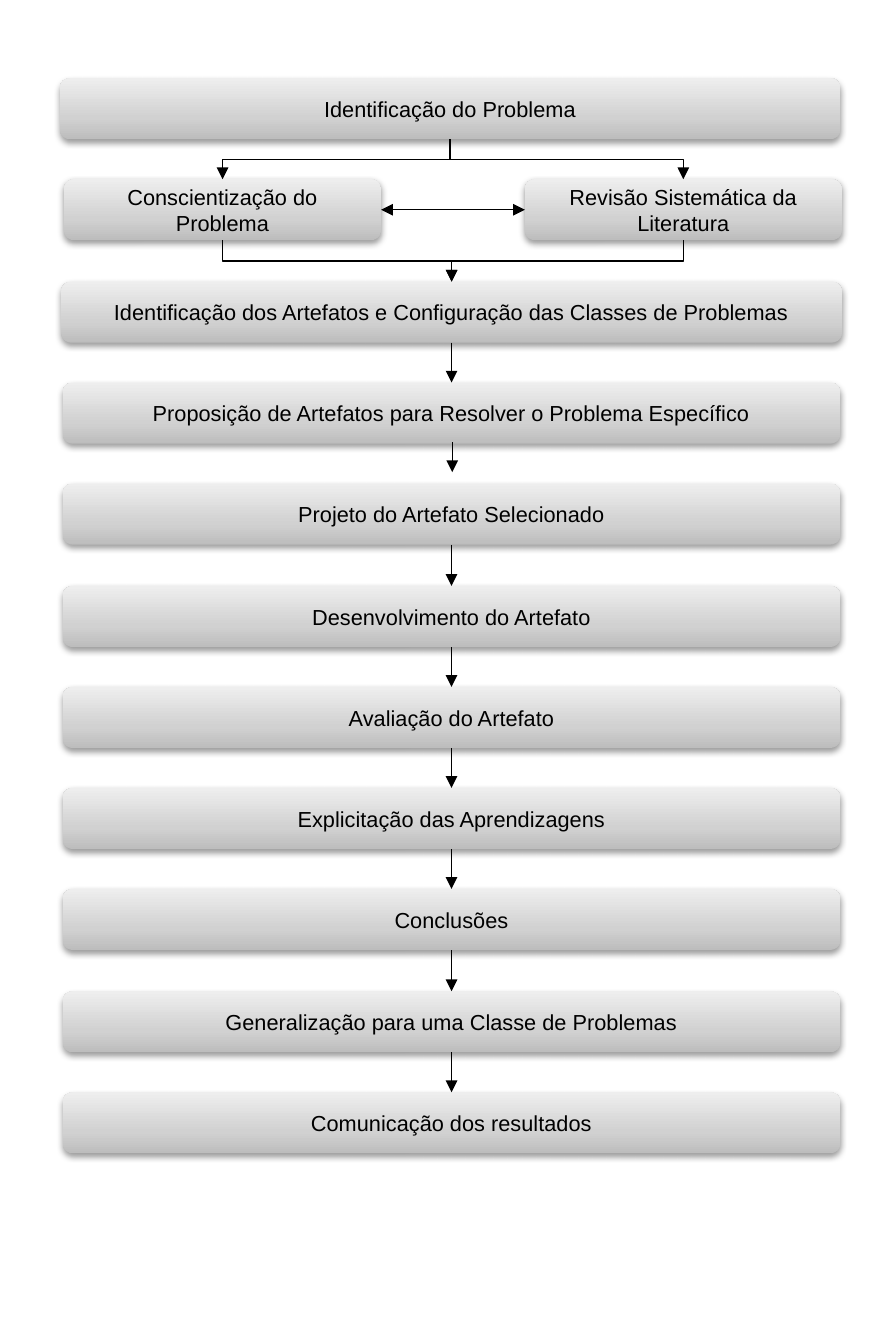
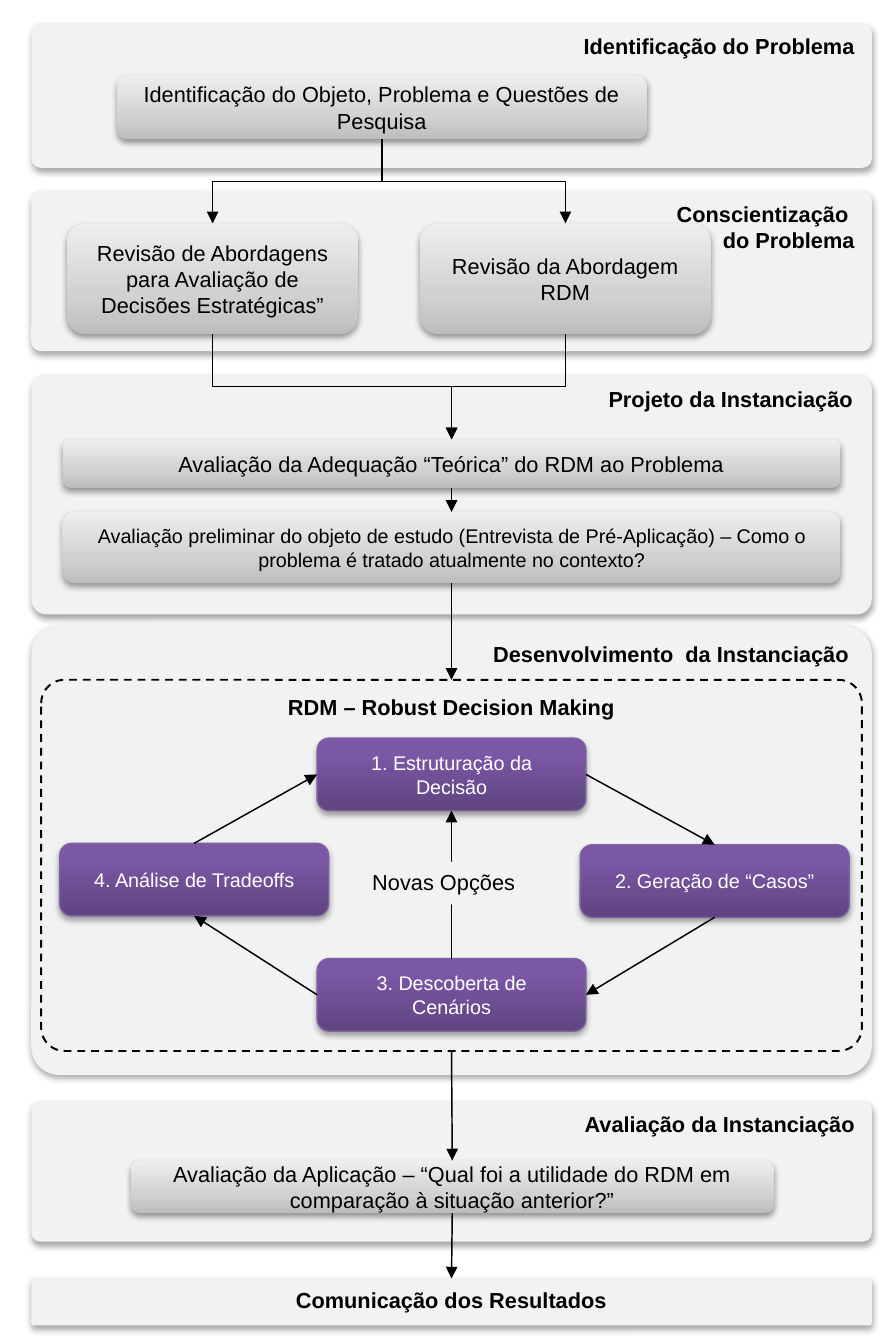
import pptx
import pptx.dml.color
import pptx.enum.dml
import pptx.enum.shapes
import pptx.enum.text
import pptx.oxml.ns
import pptx.util
from lxml import etree

PX = 9144  # EMU per px, 100 px to the inch
SLIDE_WIDTH, SLIDE_HEIGHT = 630, 945
FONT = "Arial"
COLORS = {
    "black": "000000", "white": "FFFFFF", "panel": "F2F2F2", "purple_line": "7D60A0",
}
GRAY_STOPS = [(0, "BDBDBD"), (35, "D1D1D1"), (100, "EEEEEE")]
PURPLE_STOPS = [(0, "5F4480"), (80, "7B58A6"), (100, "7C57A8")]
TOP, LEFT, BOTTOM, RIGHT = range(4)  # connection sites of a box
ROW_TOP, ROW_STEP, ROW_HEIGHT = 55, 71.3, 43

ALIGN = pptx.enum.text.PP_ALIGN
ANCHOR = pptx.enum.text.MSO_ANCHOR
SHAPE = pptx.enum.shapes.MSO_SHAPE
CONNECTOR = pptx.enum.shapes.MSO_CONNECTOR


# Formatting helpers
def rgb(name):
    return pptx.dml.color.RGBColor.from_string(COLORS[name])


def add_child(parent, tag, **attributes):
    child = etree.SubElement(parent, pptx.oxml.ns.qn(tag))
    for key, value in attributes.items():
        child.set(key, str(value))
    return child


def set_gradient(shape, stops):
    shape.fill.gradient()
    shape.fill.gradient_angle = 90
    stop_list = shape._element.spPr.find(".//" + pptx.oxml.ns.qn("a:gsLst"))
    for stop in list(stop_list):
        stop_list.remove(stop)
    for percent, color in stops:
        stop = add_child(stop_list, "a:gs", pos=percent * 1000)
        add_child(stop, "a:srgbClr", val=color)


def set_shadow(shape, opacity, distance):
    effects = shape._element.spPr.find(pptx.oxml.ns.qn("a:effectLst"))
    shadow = add_child(effects, "a:outerShdw", blurRad=40000, dist=distance,
                       dir=5400000, rotWithShape=0)
    color = add_child(shadow, "a:srgbClr", val=COLORS["black"])
    add_child(color, "a:alpha", val=opacity * 1000)


# Kinds of element
def add_text_shape(slide, kind, at, text, size=11, color="black", bold=False,
                   align=ALIGN.CENTER, anchor=ANCHOR.TOP):
    shape = slide.shapes.add_shape(kind, *(length * PX for length in at))
    shape.shadow.inherit = False
    shape.line.fill.background()
    frame = shape.text_frame
    frame.word_wrap = True
    frame.vertical_anchor = anchor
    for index, line in enumerate(text.split("\n")):
        paragraph = frame.add_paragraph() if index else frame.paragraphs[0]
        paragraph.text = line
        paragraph.alignment = align
        paragraph.font.name = FONT
        paragraph.font.size = pptx.util.Pt(size)
        paragraph.font.bold = bold
        paragraph.font.color.rgb = rgb(color)
    return shape


def add_step(slide, at, text, size=11):
    step = add_text_shape(slide, SHAPE.ROUNDED_RECTANGLE, at, text, size,
                          anchor=ANCHOR.MIDDLE)
    set_gradient(step, GRAY_STOPS)
    set_shadow(step, 38, 20000)
    return step


def add_cycle_step(slide, left, top, text):
    step = add_text_shape(slide, SHAPE.ROUNDED_RECTANGLE, (left, top, 189, 51), text,
                          10, "white", anchor=ANCHOR.MIDDLE)
    set_gradient(step, PURPLE_STOPS)
    step.line.color.rgb = rgb("purple_line")
    step.line.width = pptx.util.Pt(0.75)
    set_shadow(step, 35, 23000)
    return step


def add_panel(slide, top, height, text, align=ALIGN.RIGHT):
    panel = add_text_shape(slide, SHAPE.ROUNDED_RECTANGLE, (22, top, 591, height), text,
                           bold=True, align=align)
    panel.adjustments[0] = 0.063
    panel.fill.solid()
    panel.fill.fore_color.rgb = rgb("panel")
    set_shadow(panel, 35, 23000)
    return panel


def format_arrow(connector, both_ends=False):
    connector.line.color.rgb = rgb("black")
    connector.line.width = pptx.util.Pt(0.75)
    line = connector.line._get_or_add_ln()
    if both_ends:
        add_child(line, "a:headEnd", type="triangle")
    add_child(line, "a:tailEnd", type="triangle")
    add_child(connector._element.spPr, "a:effectLst")


def add_arrow(slide, start, end, start_site=BOTTOM, end_site=TOP,
              kind=CONNECTOR.STRAIGHT, both_ends=False):
    connector = slide.shapes.add_connector(kind, 0, 0, 0, 0)
    connector.begin_connect(start, start_site)
    connector.end_connect(end, end_site)
    format_arrow(connector, both_ends)
    return connector


def add_elbow(slide, start, end):
    """Leave the bottom of start, turn halfway and enter the top of end."""
    connector = add_arrow(slide, start, end, kind=CONNECTOR.ELBOW)
    begin_x, begin_y = connector.begin_x, connector.begin_y
    end_x, end_y = connector.end_x, connector.end_y
    run, drop = abs(end_x - begin_x), end_y - begin_y
    to_right = end_x > begin_x
    # The frame lies on its side, turned about its centre
    connector.left = (begin_x + end_x - drop) // 2
    connector.top = (begin_y + end_y - run) // 2
    connector.width, connector.height = drop, run
    frame = connector._element.spPr.xfrm
    frame.set("rot", "16200000" if to_right else "5400000")
    frame.set("flipH", "1" if to_right else "0")


def add_short_arrow(slide, x, top, bottom):
    connector = slide.shapes.add_connector(
        CONNECTOR.STRAIGHT, x * PX, top * PX, x * PX, bottom * PX)
    format_arrow(connector)


# Slides
def row_at(row, left=44, width=547):
    return left, round(ROW_TOP + row * ROW_STEP), width, ROW_HEIGHT


def build_method_slide(slide):
    problem = add_step(slide, row_at(0, 42, 549), "Identificação do Problema")
    awareness = add_step(slide, row_at(1, 45, 223), "Conscientização do Problema")
    review = add_step(slide, row_at(1, 369, 223), "Revisão Sistemática da Literatura")
    artifacts = add_step(
        slide, row_at(2, 43, 549),
        "Identificação dos Artefatos e Configuração das Classes de Problemas")
    texts = [
        "Proposição de Artefatos para Resolver o Problema Específico",
        "Projeto do Artefato Selecionado",
        "Desenvolvimento do Artefato",
        "Avaliação do Artefato",
        "Explicitação das Aprendizagens",
        "Conclusões",
        "Generalização para uma Classe de Problemas",
        "Comunicação dos resultados",
    ]
    steps = [add_step(slide, row_at(row), text) for row, text in enumerate(texts, 3)]

    for branch in (awareness, review):
        add_elbow(slide, problem, branch)
        add_elbow(slide, branch, artifacts)
    add_arrow(slide, awareness, review, RIGHT, LEFT, both_ends=True)
    add_arrow(slide, artifacts, steps[0])
    add_short_arrow(slide, 318, 311, 332)  # stops short of the next step
    for start, end in zip(steps[1:], steps[2:]):
        add_arrow(slide, start, end)


def build_application_slide(slide):
    # Panels
    add_panel(slide, 440, 316, "Desenvolvimento  da Instanciação")
    cycle = add_text_shape(slide, SHAPE.ROUNDED_RECTANGLE, (29, 478, 577, 261),
                           "RDM – Robust Decision Making", bold=True)
    cycle.adjustments[0] = 0.063
    cycle.fill.background()
    cycle.line.color.rgb = rgb("black")
    cycle.line.width = pptx.util.Pt(1)
    cycle.line.dash_style = pptx.enum.dml.MSO_LINE.DASH
    add_panel(slide, 16, 102, "Identificação do Problema")
    add_panel(slide, 134, 113, "Conscientização \ndo Problema")
    add_panel(slide, 263, 169, "Projeto da Instanciação")
    add_panel(slide, 774, 99, "Avaliação da Instanciação")
    results = add_panel(slide, 899, 33, "Comunicação dos Resultados", ALIGN.CENTER)

    # Steps
    adequacy = add_step(slide, (44, 309, 547, 34),
                        "Avaliação da Adequação “Teórica” do RDM ao Problema")
    interview = add_step(
        slide, (44, 360, 547, 50),
        "Avaliação preliminar do objeto de estudo (Entrevista de Pré-Aplicação) – "
        "Como o problema é tratado atualmente no contexto?", 10)
    rdm_review = add_step(slide, (295, 157, 205, 78), "Revisão da Abordagem RDM")
    decision_review = add_step(
        slide, (47, 157, 205, 78),
        "Revisão de Abordagens para Avaliação de Decisões Estratégicas”")
    subject = add_step(slide, (82, 53, 373, 45),
                       "Identificação do Objeto, Problema e Questões de Pesquisa")
    evaluation = add_step(
        slide, (92, 816, 452, 37),
        "Avaliação da Aplicação – “Qual foi a utilidade do RDM em comparação "
        "à situação anterior?”")

    # Decision cycle
    structuring = add_cycle_step(slide, 223, 519, "1. Estruturação da Decisão")
    cases = add_cycle_step(slide, 408, 594, "2. Geração de “Casos”")
    scenarios = add_cycle_step(slide, 223, 674, "3. Descoberta de Cenários")
    tradeoffs = add_cycle_step(slide, 42, 593, "4. Análise de Tradeoffs")

    # Arrows
    for review in (decision_review, rdm_review):
        add_elbow(slide, subject, review)
        add_elbow(slide, review, adequacy)
    for start, end in ((adequacy, interview), (interview, cycle),
                       (cycle, evaluation), (evaluation, results)):
        add_arrow(slide, start, end)
    add_arrow(slide, structuring, cases, RIGHT, TOP)
    add_arrow(slide, cases, scenarios, BOTTOM, RIGHT)
    add_arrow(slide, scenarios, tradeoffs, LEFT, BOTTOM)
    add_arrow(slide, tradeoffs, structuring, TOP, LEFT)
    add_arrow(slide, scenarios, structuring, TOP, BOTTOM)

    # Label over the middle arrow
    label = add_text_shape(slide, SHAPE.RECTANGLE, (251, 606, 122, 30), "Novas Opções")
    label.fill.solid()
    label.fill.fore_color.rgb = rgb("panel")


def main():
    presentation = pptx.Presentation()
    presentation.slide_width = SLIDE_WIDTH * PX
    presentation.slide_height = SLIDE_HEIGHT * PX
    blank_layout = presentation.slide_layouts[6]
    for build in (build_method_slide, build_application_slide):
        build(presentation.slides.add_slide(blank_layout))
    presentation.save("out.pptx")


if __name__ == "__main__":
    main()
